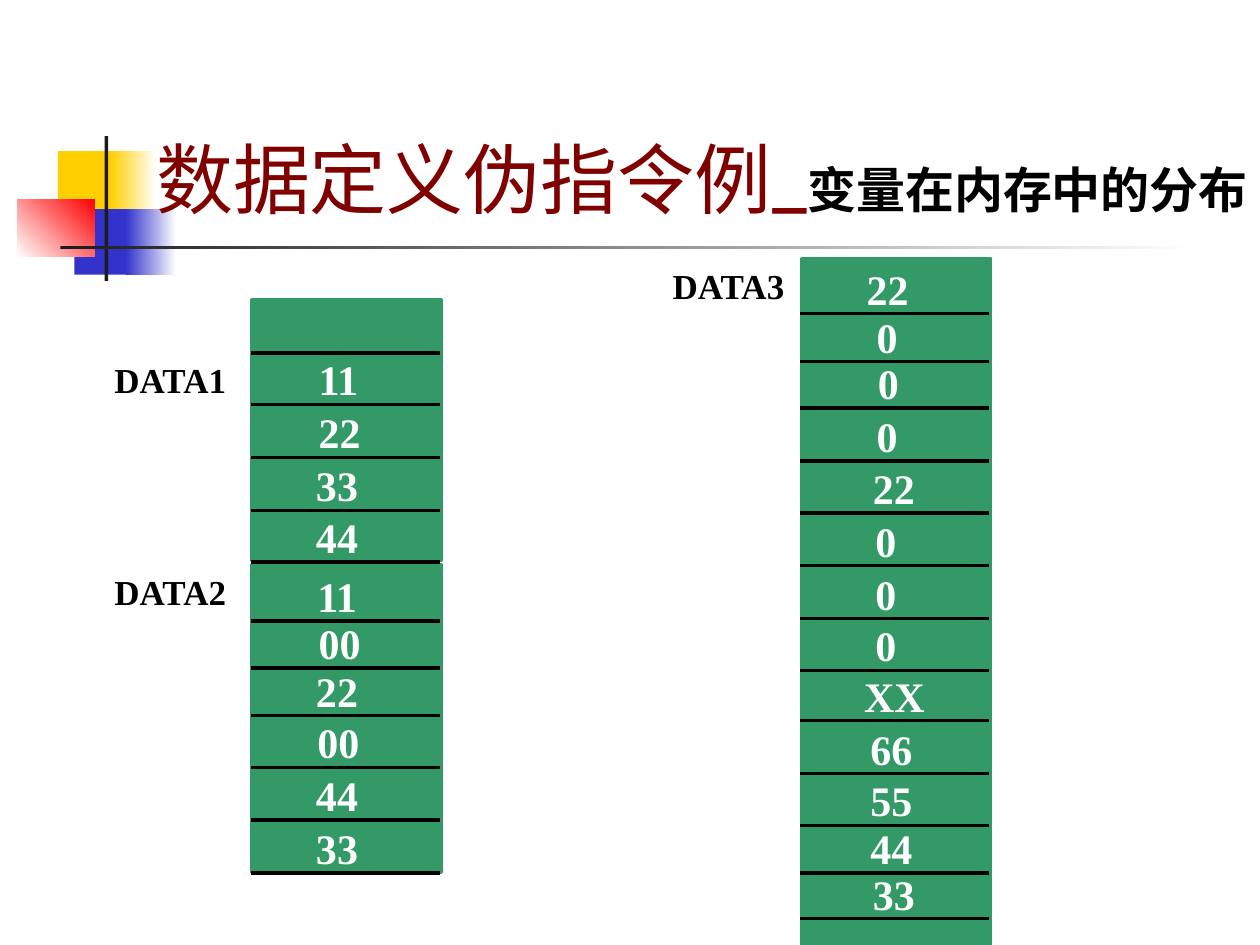
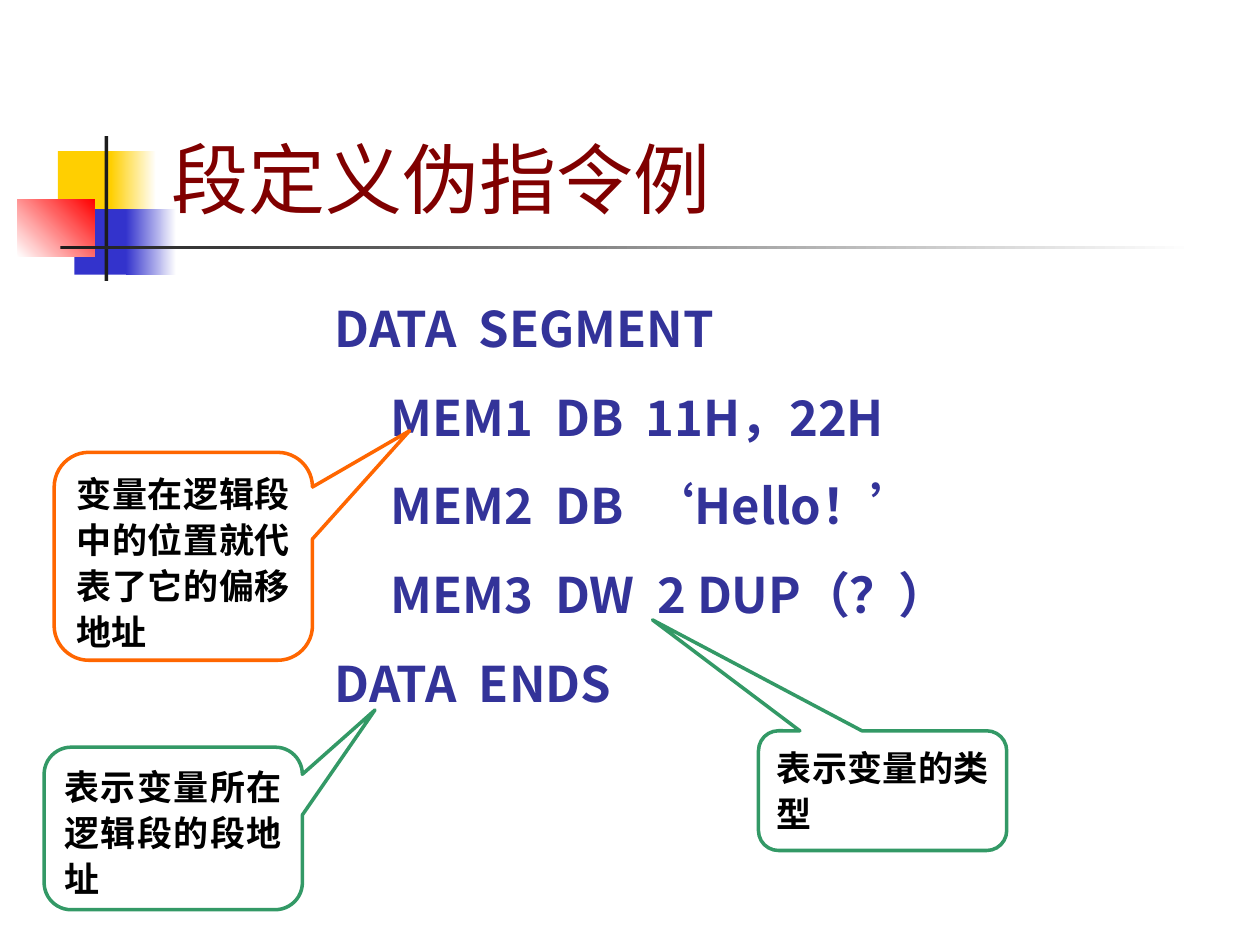
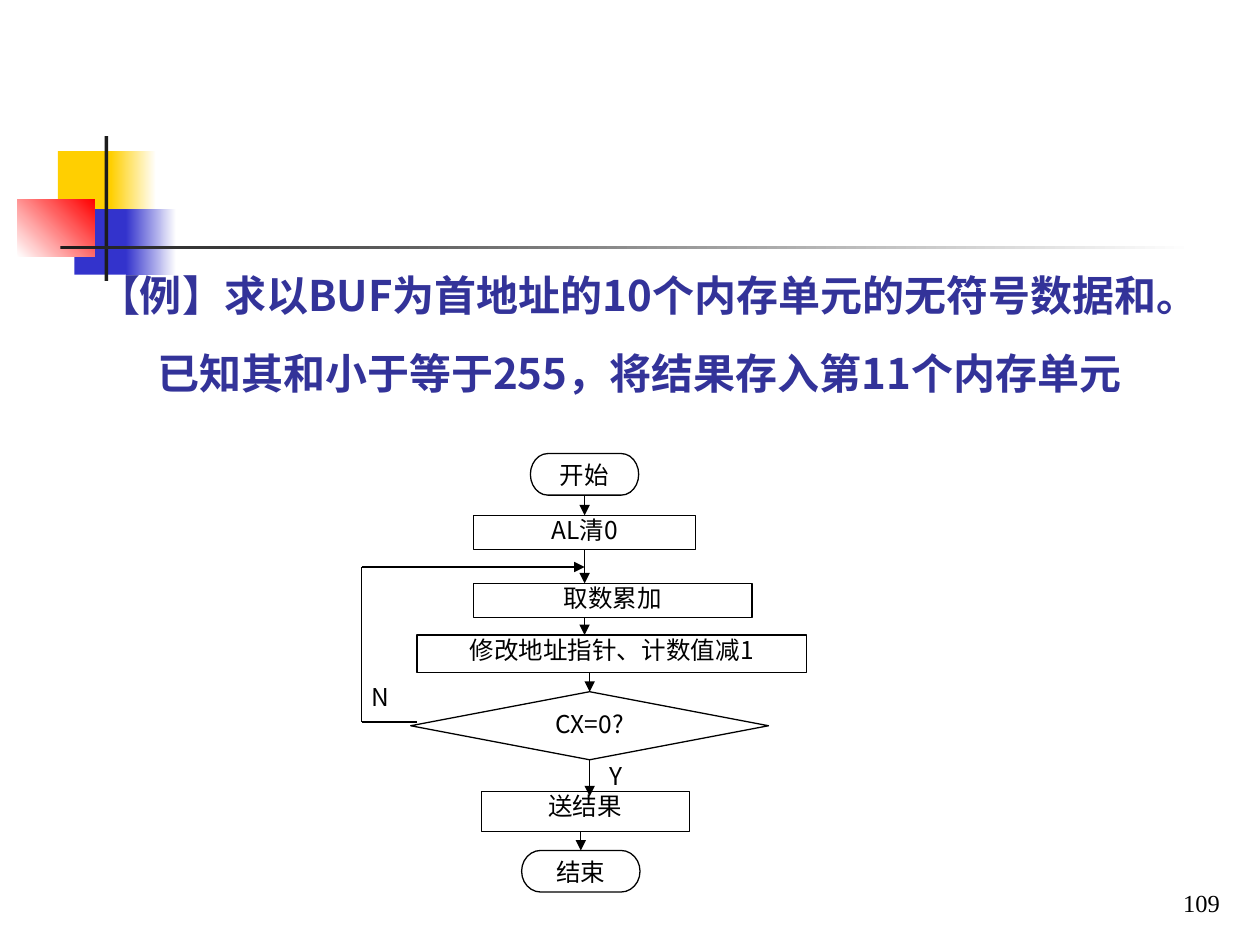
from dataclasses import dataclass

from lxml import etree
from pptx import Presentation
from pptx.dml.color import RGBColor
from pptx.enum.lang import MSO_LANGUAGE_ID
from pptx.enum.shapes import MSO_CONNECTOR, MSO_SHAPE
from pptx.enum.text import MSO_ANCHOR, PP_ALIGN
from pptx.oxml.ns import qn
from pptx.util import Inches, Pt

RECT = MSO_SHAPE.RECTANGLE
CALLOUT = MSO_SHAPE.ROUNDED_RECTANGULAR_CALLOUT
DIAMOND = MSO_SHAPE.DIAMOND
TERMINATOR = MSO_SHAPE.FLOWCHART_TERMINATOR
STRAIGHT = MSO_CONNECTOR.STRAIGHT
TOP, BOTTOM = MSO_ANCHOR.TOP, MSO_ANCHOR.BOTTOM
LEFT, CENTER, RIGHT, JUSTIFY = PP_ALIGN.LEFT, PP_ALIGN.CENTER, PP_ALIGN.RIGHT, PP_ALIGN.JUSTIFY
CHINESE = MSO_LANGUAGE_ID.SIMPLIFIED_CHINESE
TOP_SITE, BOTTOM_SITE = 0, 2

BLACK = RGBColor.from_string("000000")
WHITE = RGBColor.from_string("FFFFFF")
MAROON = RGBColor.from_string("800000")
INDIGO = RGBColor.from_string("333399")
CJK, SERIF = "Noto Sans CJK SC", "Times New Roman"


@dataclass(frozen=True)
class Style:
    """Character and paragraph format of one kind of text."""
    size: float
    color: RGBColor = BLACK
    bold: bool = False
    font: str = CJK
    align: PP_ALIGN = LEFT
    line: float = 0
    before: float = 0
    after: float = 0


@dataclass(frozen=True)
class Theme:
    """Colours and text styles of the deck."""
    yellow: RGBColor = RGBColor.from_string("FFCF01")
    blue: RGBColor = RGBColor.from_string("3333CC")
    red: RGBColor = RGBColor.from_string("FF0000")
    dark: RGBColor = RGBColor.from_string("1C1C1C")
    green: RGBColor = RGBColor.from_string("339966")
    orange: RGBColor = RGBColor.from_string("FF6600")
    title: Style = Style(44, MAROON, font="Roboto", line=37)
    subtitle: Style = Style(28, bold=True, font="Roboto")
    label: Style = Style(20, bold=True, font=SERIF)
    value: Style = Style(24, WHITE, True, SERIF)
    code: Style = Style(28, INDIGO, True, line=43.7, before=5.6, after=1.4)
    task: Style = Style(24, INDIGO, True, line=31.5, before=12, after=1.2)
    note: Style = Style(20, bold=True, font=SERIF, align=JUSTIFY, line=26.3)
    step: Style = Style(14, align=CENTER, line=16.8)
    branch: Style = Style(14, align=JUSTIFY, line=16.8)
    number: Style = Style(14, font=SERIF, align=RIGHT)


THEME = Theme()


def box(values):
    """Convert a tuple of inches to lengths."""
    return [Inches(v) for v in values]


def add_run(p, text, style):
    """Add a run of text in a style."""
    r = p.add_run()
    r.text = text
    r.font.color.rgb = style.color
    formats = {"size": Pt(style.size), "bold": style.bold, "name": style.font,
               "language_id": CHINESE}
    for name, value in formats.items():
        setattr(r.font, name, value)
    etree.SubElement(r._r.get_or_add_rPr(), qn("a:ea"), typeface=CJK)


def write(tf, lines, style, anchor=TOP, inset=None):
    """Fill a text frame with one paragraph per line."""
    tf.word_wrap = True
    tf.vertical_anchor = anchor
    if inset is not None:
        for side in ("left", "top", "right", "bottom"):
            setattr(tf, f"margin_{side}", Inches(inset))
    for i, line in enumerate(lines):
        p = tf.add_paragraph() if i else tf.paragraphs[0]
        formats = {"alignment": style.align, "space_before": Pt(style.before if i else 0),
                   "space_after": Pt(style.after),
                   "line_spacing": Pt(style.line) if style.line else None}
        for name, value in formats.items():
            setattr(p, name, value)
        add_run(p, line, style)
    return tf


def indent(p, left, first):
    """Set the left margin and first-line indent of a paragraph."""
    pPr = p._p.get_or_add_pPr()
    pPr.set("marL", str(Inches(left)))
    pPr.set("indent", str(Inches(first)))


def add_text(s, at, lines, style, **options):
    """Add a text box and return its text frame."""
    return write(s.shapes.add_textbox(*box(at)).text_frame, lines, style, **options)


def add_shape(s, kind, at, fill=None, line=None, width=2):
    """Add a preset shape with plain fill and outline."""
    sp = s.shapes.add_shape(kind, *box(at))
    sp.shadow.inherit = False
    if fill is None:
        sp.fill.background()
    else:
        sp.fill.solid()
        sp.fill.fore_color.rgb = fill
    if line is None:
        sp.line.fill.background()
    else:
        sp.line.color.rgb = line
        sp.line.width = Pt(width)
    return sp


def add_fade(s, at, start, end, angle=0):
    """Add a rectangle that fades between two colours."""
    sp = add_shape(s, RECT, at)
    sp.fill.gradient()
    sp.fill.gradient_angle = angle
    for stop, color, position in zip(sp.fill.gradient_stops, (start, end), (0, 1)):
        stop.color.rgb = color
        stop.position = position


def add_line(s, start, end, width=2, arrow=False, source=None, target=None):
    """Add a straight line, joined to the source's bottom and the target's top if given."""
    c = s.shapes.add_connector(STRAIGHT, *box(start + end))
    c.line.color.rgb = BLACK
    c.line.width = Pt(width)
    if arrow:
        etree.SubElement(c.line._get_or_add_ln(), qn("a:tailEnd"), type="triangle")
    etree.SubElement(c._element.spPr, qn("a:effectLst"))
    if source is not None:
        c.begin_connect(source, BOTTOM_SITE)
    if target is not None:
        c.end_connect(target, TOP_SITE)


def add_slide(prs):
    """Add a blank slide with the coloured squares and the ruled cross."""
    s = prs.slides.add_slide(prs.slide_layouts[6])
    add_shape(s, RECT, (0.46, 1.2, 0.48, 0.52), THEME.yellow)
    add_fade(s, (0.88, 1.2, 0.36, 0.52), THEME.yellow, WHITE)
    add_shape(s, RECT, (0.59, 1.66, 0.46, 0.52), THEME.blue)
    add_fade(s, (1, 1.66, 0.4, 0.52), THEME.blue, WHITE)
    add_fade(s, (0.14, 1.58, 0.61, 0.46), WHITE, THEME.red, 45)
    add_shape(s, RECT, (0.83, 1.08, 0.03, 1.15), THEME.dark)
    add_fade(s, (0.48, 1.95, 9, 0.03), THEME.dark, WHITE)
    return s


def add_title(s, left, width, text):
    """Add the slide title and return its paragraph."""
    return add_text(s, (left, 0.23, width, 1.6), [text], THEME.title, anchor=BOTTOM).paragraphs[0]


def add_memory(s, left, spans, rows):
    """Draw a memory column: rows are (bottom line, value, value left)."""
    for top, height in spans:
        add_shape(s, RECT, (left, top, 1.5, height), THEME.green, THEME.green)
    for y, value, x in rows:
        add_line(s, (left - 0.01, y), (left + 1.49, y))
        if value:
            add_text(s, (x, y - 0.45, 0.8, 0.5), [value], THEME.value)


def add_callout(s, at, tip, line, text):
    """Add a rounded callout whose tip is given relative to its size."""
    sp = add_shape(s, CALLOUT, at, WHITE, line)
    for i, value in enumerate(tip + (0.167,)):
        sp.adjustments[i] = value
    write(sp.text_frame, [text], THEME.note)


def add_step(s, kind, at, text):
    """Add a flowchart step."""
    sp = add_shape(s, kind, at, line=BLACK, width=0.75)
    write(sp.text_frame, [text], THEME.step, inset=0)
    return sp


def memory_slide(prs):
    """Build the slide on variables in memory."""
    s = add_slide(prs)
    add_run(add_title(s, 1.14, 9.14, "数据定义伪指令例_"), "变量在内存中的分布", THEME.subtitle)
    add_memory(s, 2, [(2.38, 2.07), (4.48, 2.44)], [
        (2.8, "", 0), (3.21, "11", 2.43), (3.63, "22", 2.43), (4.05, "33", 2.41),
        (4.46, "44", 2.41), (4.93, "11", 2.42), (5.3, "00", 2.43), (5.68, "22", 2.41),
        (6.09, "00", 2.42), (6.51, "44", 2.41), (6.93, "33", 2.41)])
    add_memory(s, 6.36, [(2.05, 5.45)], [
        (2.49, "22", 6.78), (2.87, "0", 6.86), (3.24, "0", 6.87), (3.66, "0", 6.86),
        (4.07, "22", 6.83), (4.49, "0", 6.85), (4.91, "0", 6.85), (5.32, "0", 6.85),
        (5.72, "XX", 6.76), (6.14, "66", 6.81), (6.55, "55", 6.81), (6.93, "44", 6.81),
        (7.29, "33", 6.83)])
    for x, y, name in ((0.81, 2.8, "DATA1"), (0.81, 4.48, "DATA2"), (5.24, 2.05, "DATA3")):
        add_text(s, (x, y, 1.18, 0.43), [name], THEME.label)


def segment_slide(prs):
    """Build the slide on segment definition."""
    s = add_slide(prs)
    add_title(s, 1.26, 8.52, "段定义伪指令例")
    tf = add_text(s, (2.56, 2.18, 6.85, 4.13), [
        "DATA  SEGMENT",
        "     MEM1  DB  11H，22H",
        "     MEM2  DB  ‘Hello！’",
        "     MEM3  DW  2 DUP（？）",
        "DATA  ENDS"], THEME.code)
    for p in tf.paragraphs:
        indent(p, 0.38, -0.38)
    add_callout(s, (0.43, 3.59, 2.05, 1.65), (0.876, -0.604), THEME.orange,
                "变量在逻辑段中的位置就代表了它的偏移地址")
    add_callout(s, (0.35, 5.93, 2.05, 1.29), (0.781, -0.729), THEME.green,
                "表示变量所在逻辑段的段地址")
    add_callout(s, (6.02, 5.8, 1.97, 0.95), (-0.927, -1.427), THEME.green, "表示变量的类型")


def flowchart_slide(prs):
    """Build the slide with the summing flowchart."""
    s = add_slide(prs)
    add_text(s, (7.7, 6.83, 2.08, 0.5), ["109"], THEME.number, anchor=BOTTOM)
    tf = add_text(s, (0.68, 2.05, 9.03, 1.16), [
        "【例】求以BUF为首地址的10个内存单元的无符号数据和。",
        "已知其和小于等于255，将结果存入第11个内存单元"], THEME.task)
    indent(tf.paragraphs[1], 0, 0.47)
    add_text(s, (2.95, 5.41, 0.39, 0.32), ["N"], THEME.branch, inset=0)
    add_text(s, (4.84, 6.04, 0.23, 0.25), ["Y"], THEME.branch, inset=0)

    start = add_step(s, TERMINATOR, (4.21, 3.6, 0.86, 0.33), "开始")
    clear = add_step(s, RECT, (3.76, 4.09, 1.76, 0.27), "AL清0")
    add_step(s, RECT, (3.76, 4.63, 2.21, 0.27), "取数累加")
    add_step(s, RECT, (3.31, 5.04, 3.09, 0.3), "修改地址指针、计数值减1")
    test = add_step(s, DIAMOND, (3.26, 5.49, 2.84, 0.54), "CX=0?")
    add_step(s, RECT, (3.82, 6.28, 1.65, 0.32), "送结果")
    end = add_step(s, TERMINATOR, (4.14, 6.75, 0.94, 0.33), "结束")

    for x, y1, y2, source, target in (
            (4.64, 3.93, 4.09, start, clear), (4.64, 4.36, 4.63, clear, None),
            (4.64, 4.9, 5.04, None, None), (4.68, 5.34, 5.49, None, test),
            (4.68, 6.03, 6.32, test, None), (4.61, 6.6, 6.75, None, end)):
        add_line(s, (x, y1), (x, y2), 0.75, True, source, target)
    loop = [(3.31, 5.73), (2.87, 5.73), (2.87, 4.5), (4.64, 4.5)]
    for a, b in zip(loop, loop[1:]):
        add_line(s, a, b, 0.75, b == loop[-1])


def main():
    """Build and save the deck."""
    prs = Presentation()
    prs.slide_width, prs.slide_height = Inches(10), Inches(7.5)
    memory_slide(prs)
    segment_slide(prs)
    flowchart_slide(prs)
    prs.save("out.pptx")


if __name__ == "__main__":
    main()
